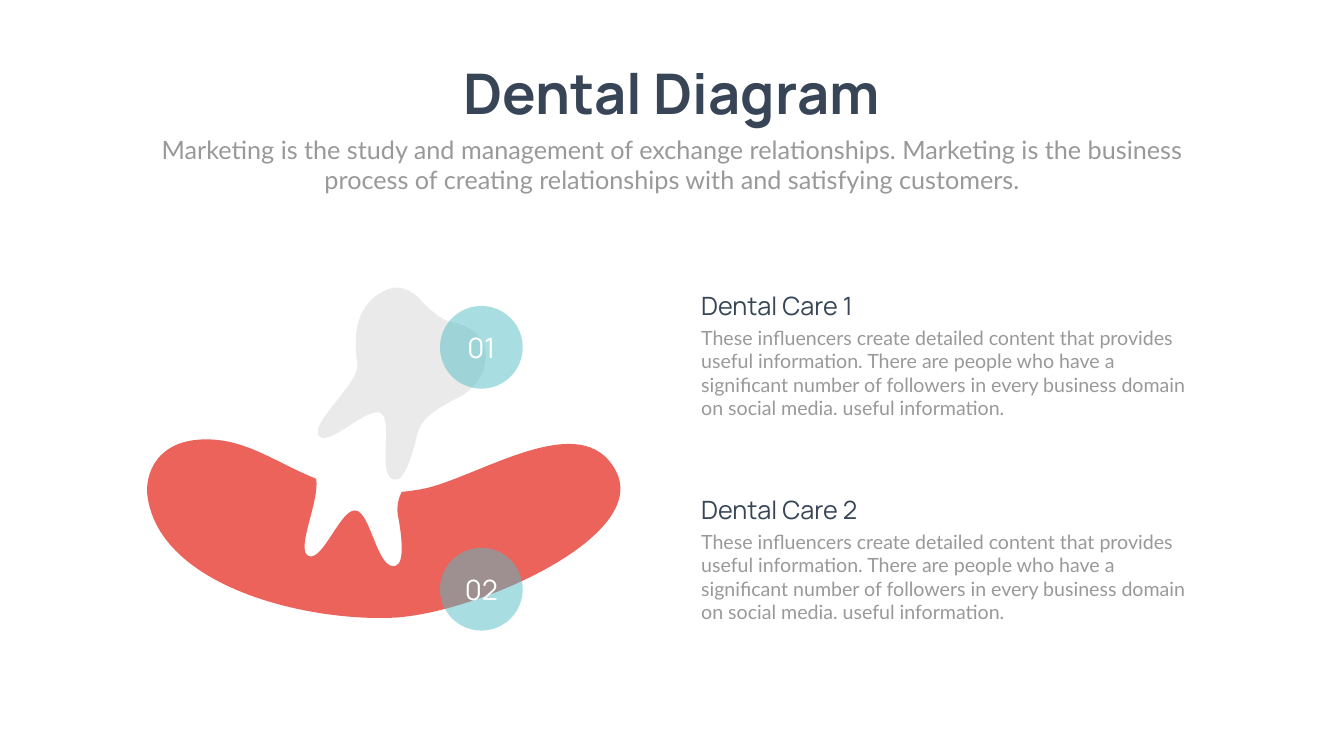
from lxml import etree
from pptx import Presentation
from pptx.dml.color import RGBColor
from pptx.enum.shapes import MSO_SHAPE
from pptx.enum.text import MSO_ANCHOR, MSO_AUTO_SIZE, PP_ALIGN
from pptx.oxml.ns import qn
from pptx.util import Cm, Pt

NAVY, GRAY, WHITE = "374556", "999999", "FFFFFF"
TOOTH_COLOR, GUM_COLOR, BADGE_COLOR = "EAEAEA", "EB635B", "53BEC7"
HEADING_FONT, BODY_FONT = "Manrope", "Lato"

INTRO = ("Marketing is the study and management of exchange relationships. "
         "Marketing is the business process of creating relationships with "
         "and satisfying customers.")
DETAIL = ("These influencers create detailed content that provides useful "
          "information. There are people who have a significant number of "
          "followers in every business domain on social media. "
          "useful information.")

# Boxes (left, top, width, height) and outlines in cm;
# an outline is a start point, then two handles and an end point per curve
TOOTH_BOX = (16, 14.5, 8.26, 9.55)
TOOTH = [
    (19.33, 14.68),
    (20.04, 14.27), (20.75, 14.58), (21.26, 15.19),
    (21.62, 15.57), (22.17, 16.08), (22.66, 16.21),
    (23.47, 16.38), (24.05, 16.66), (24.36, 17.35),
    (24.66, 18.01), (24.41, 19.38), (23.09, 20.04),
    (21.74, 20.70), (21.18, 21.23), (21.03, 21.87),
    (20.88, 22.50), (20.45, 24.26), (19.89, 24.18),
    (18.95, 24.08), (19.84, 21.23), (19.20, 20.83),
    (18.54, 20.42), (16.59, 22.56), (16.08, 21.97),
    (15.54, 21.39), (18.14, 19.30), (18.01, 18.34),
    (17.88, 17.35), (17.68, 15.52), (19.33, 14.68),
]
GUM_BOX = (7.42, 22.15, 23.75, 8.79)
GUM = [
    (31.04, 23.75),
    (29.31, 20.40), (23.98, 24.16), (21.21, 24.66),
    (20.88, 24.71), (20.55, 24.77), (20.24, 24.79),
    (20.04, 25.22), (19.99, 25.58), (20.04, 25.93),
    (20.17, 26.57), (20.47, 28.35), (19.94, 28.52),
    (19.02, 28.80), (18.69, 25.83), (17.93, 25.73),
    (17.17, 25.60), (16.26, 28.35), (15.54, 28.02),
    (14.88, 27.71), (16.13, 25.20), (15.93, 24.13),
    (14.02, 23.37), (12.55, 22.23), (10.64, 22.15),
    (7.85, 22.02), (7.26, 23.98), (7.44, 25.07),
    (8.10, 29.44), (15.06, 31.27), (19.61, 31.14),
    (23.72, 31.04), (32.79, 27.10), (31.04, 23.75),
]


def color(hex_value):
    return RGBColor.from_string(hex_value)


def write_text(shape, text, size, font_name, font_color, align=PP_ALIGN.LEFT,
               anchor=MSO_ANCHOR.TOP, bold=False):
    frame = shape.text_frame
    frame.text = text
    frame.word_wrap = True
    frame.auto_size = MSO_AUTO_SIZE.NONE
    frame.vertical_anchor = anchor
    paragraph = frame.paragraphs[0]
    paragraph.alignment = align
    paragraph.space_before = Pt(0)
    font = paragraph.font
    font.size, font.name, font.bold = Pt(size), font_name, bold
    font.color.rgb = color(font_color)


def place(shape, left, top, width, height):
    shape.left, shape.top = Cm(left), Cm(top)
    shape.width, shape.height = Cm(width), Cm(height)


def paint(shape, fill_color):
    shape.shadow.inherit = False
    shape.fill.solid()
    shape.fill.fore_color.rgb = color(fill_color)
    shape.line.fill.background()


def add_outline(slide, box, outline, fill_color):
    left, top, width, height = box
    builder = slide.shapes.build_freeform(Cm(left), Cm(top))
    builder.add_line_segments([(Cm(left + width), Cm(top + height))])
    shape = builder.convert_to_shape()
    paint(shape, fill_color)

    # Draw the curves inside the box
    drawing = shape._element.find(".//" + qn("a:path"))
    for command in list(drawing):
        drawing.remove(command)

    def add_command(tag, points):
        command = etree.SubElement(drawing, qn(tag))
        for x, y in points:
            etree.SubElement(command, qn("a:pt"),
                             x=str(int(Cm(x - left))), y=str(int(Cm(y - top))))

    add_command("a:moveTo", outline[:1])
    for first in range(1, len(outline), 3):
        add_command("a:cubicBezTo", outline[first:first + 3])
    add_command("a:close", [])


def add_badge(slide, top, number):
    badge = slide.shapes.add_shape(
        MSO_SHAPE.OVAL, Cm(22.17), Cm(top), Cm(4.17), Cm(4.17))
    paint(badge, BADGE_COLOR)
    # Half transparent fill
    fill_color = badge._element.spPr.find(
        qn("a:solidFill") + "/" + qn("a:srgbClr"))
    etree.SubElement(fill_color, qn("a:alpha"), val="50000")
    write_text(badge, number, 40, HEADING_FONT, WHITE,
               PP_ALIGN.CENTER, MSO_ANCHOR.MIDDLE)


def add_text(slide, box, *text_format):
    shape = slide.shapes.add_textbox(*(Cm(length) for length in box))
    write_text(shape, *text_format)


def add_care_text(slide, top, heading):
    add_text(slide, (35.08, top + 1.79, 25.22, 5.05),
             DETAIL, 28, BODY_FONT, GRAY)
    add_text(slide, (35.08, top, 10.46, 1.8),
             heading, 36, HEADING_FONT, NAVY)


def main():
    presentation = Presentation()
    presentation.slide_width, presentation.slide_height = Cm(67.72), Cm(38.1)
    slide = presentation.slides.add_slide(presentation.slide_layouts[0])
    slide.background.fill.solid()
    slide.background.fill.fore_color.rgb = color("FEFFFE")

    # Title and introduction
    title, subtitle = slide.placeholders
    place(title, 21.97, 2.84, 23.75, 3.68)
    write_text(title, "Dental Diagram", 80, HEADING_FONT, NAVY,
               PP_ALIGN.CENTER, bold=True)
    place(subtitle, 7.42, 6.63, 52.88, 3.33)
    write_text(subtitle, INTRO, 36, BODY_FONT, GRAY, PP_ALIGN.CENTER)

    # Tooth above the gum
    add_outline(slide, TOOTH_BOX, TOOTH, TOOTH_COLOR)
    add_outline(slide, GUM_BOX, GUM, GUM_COLOR)

    # Numbered badges, then their texts
    for index, top in enumerate((15.42, 27.61), start=1):
        add_badge(slide, top, f"{index:02}")
    for index, top in enumerate((14.5, 24.77), start=1):
        add_care_text(slide, top, f"Dental Care {index}")

    presentation.save("out.pptx")


if __name__ == "__main__":
    main()
